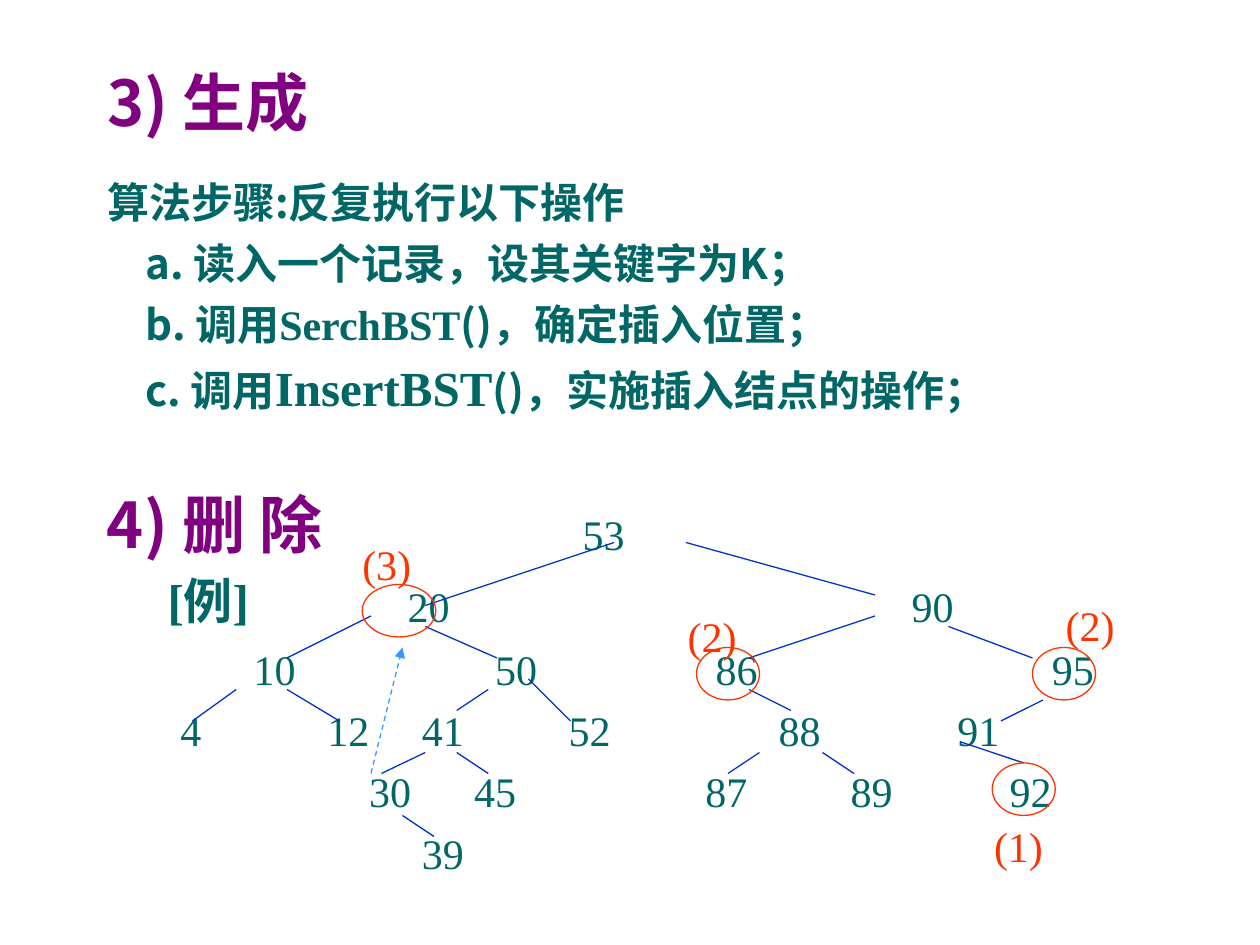
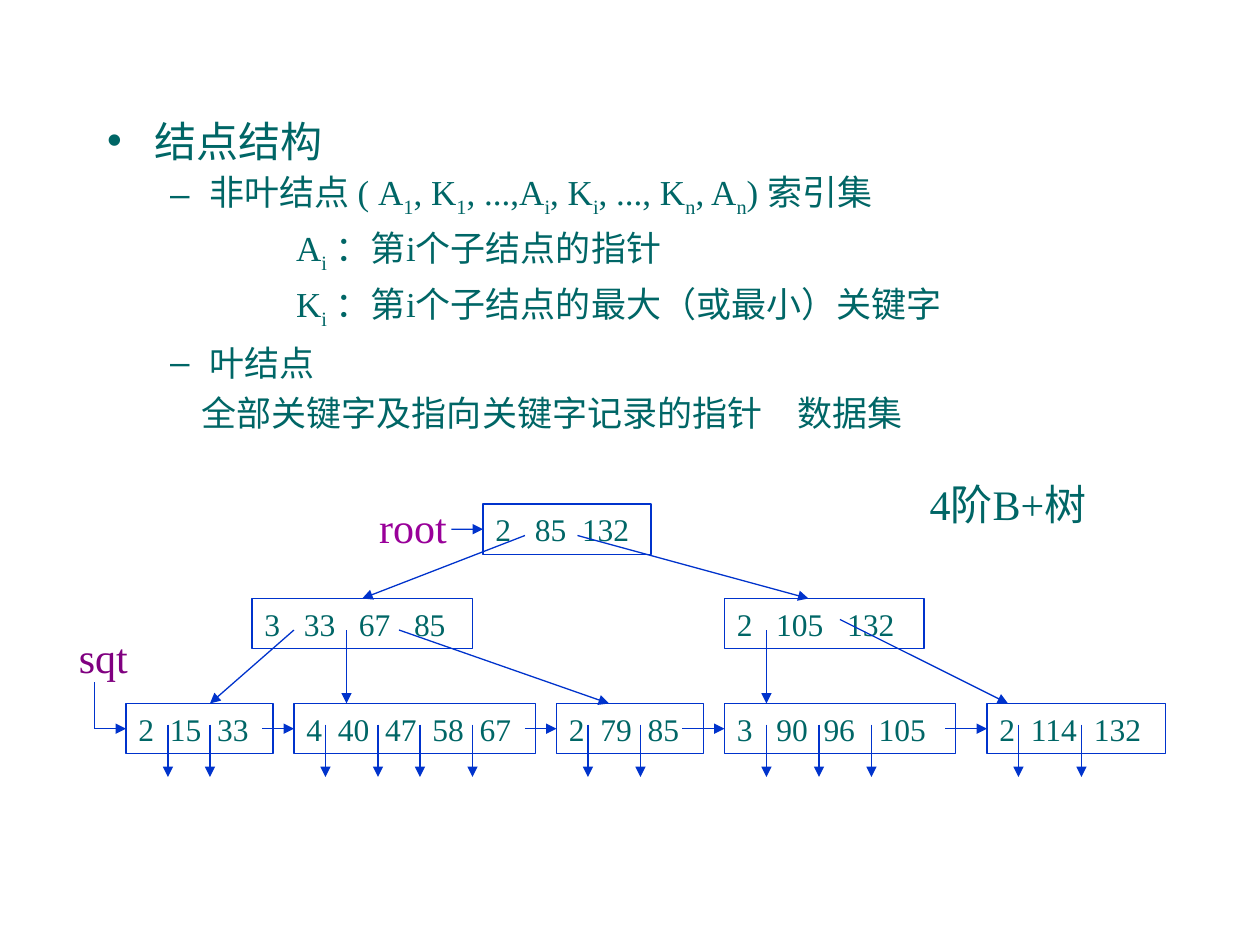
from lxml import etree
from pptx import Presentation
from pptx.dml.color import RGBColor
from pptx.enum.dml import MSO_LINE
from pptx.enum.shapes import MSO_CONNECTOR, MSO_SHAPE
from pptx.enum.text import MSO_ANCHOR, MSO_AUTO_SIZE, PP_ALIGN
from pptx.oxml.ns import qn
from pptx.util import Pt

STRAIGHT = MSO_CONNECTOR.STRAIGHT
OVAL, RECTANGLE = MSO_SHAPE.OVAL, MSO_SHAPE.RECTANGLE
MIDDLE, TOP = MSO_ANCHOR.MIDDLE, MSO_ANCHOR.TOP
LEFT, CENTER = PP_ALIGN.LEFT, PP_ALIGN.CENTER
NO_AUTOFIT = MSO_AUTO_SIZE.NONE
DASH = MSO_LINE.DASH
TOP_SIDE, LEFT_SIDE = 0, 1

SANS, SERIF = "Noto Sans CJK JP", "Times New Roman"
TEAL, PURPLE, MAGENTA = "006666", "800080", "990099"
BLUE, LIGHT_BLUE, RED = "0033CC", "3399FF", "FF3300"


def colour(hex_string):
    return RGBColor.from_string(hex_string)


def add_xml(parent, tag, **attributes):
    return etree.SubElement(parent, qn(tag), attributes)


def format_span(span, size, hex_string, face=SERIF, bold=False):
    span.font.name = face
    span.font.size = Pt(size)
    span.font.bold = bold
    span.font.color.rgb = colour(hex_string)
    add_xml(span.font._element, "a:ea", typeface=SANS)


def place(shape, left, top, width, height):
    shape.left, shape.top = Pt(left), Pt(top)
    shape.width, shape.height = Pt(width), Pt(height)


def set_heading(shape, text, top):
    place(shape, 54, top, 612, 72)
    frame = shape.text_frame
    frame.text = text
    frame.word_wrap = True
    frame.auto_size = NO_AUTOFIT
    frame.vertical_anchor = MIDDLE
    para = frame.paragraphs[0]
    para.alignment = LEFT
    format_span(para.runs[0], 36, PURPLE, SANS, True)


def start_body(shape, top, height):
    place(shape, 54, top, 612, height)
    frame = shape.text_frame
    frame.auto_size = NO_AUTOFIT
    frame.vertical_anchor = TOP
    return frame


def add_item(frame, index, text, line_height, left=0, hanging=0, bullet=None):
    """Add a list item; bars in the text part its runs, which are returned."""
    para = frame.paragraphs[0] if index == 0 else frame.add_paragraph()
    para.alignment = LEFT
    para.space_before = Pt(0)
    para.line_spacing = Pt(line_height)
    props = para._p.get_or_add_pPr()
    props.set("marL", str(Pt(left)))
    props.set("indent", str(Pt(-hanging)))
    if bullet:
        add_xml(add_xml(props, "a:buClr"), "a:srgbClr", val=TEAL)
        add_xml(props, "a:buChar", char=bullet)
    else:
        add_xml(props, "a:buNone")
    for part in text.split("|"):
        para.add_run().text = part
    return para.runs


def add_label(page, origin, x, y, text, hex_string=TEAL, size=24, bold=False):
    """Centre a one-line label on a point relative to the origin."""
    width, height = 120, 36
    box = page.shapes.add_textbox(Pt(origin[0] + x - width / 2),
                                  Pt(origin[1] + y - height / 2),
                                  Pt(width), Pt(height))
    frame = box.text_frame
    frame.text = text
    frame.word_wrap = True
    frame.vertical_anchor = MIDDLE
    para = frame.paragraphs[0]
    para.alignment = CENTER
    format_span(para.runs[0], size, hex_string, bold=bold)


def add_line(page, origin, start, end, hex_string=BLUE, arrow=False, dash=None):
    left, top = origin
    line = page.shapes.add_connector(
        STRAIGHT, Pt(left + start[0]), Pt(top + start[1]),
        Pt(left + end[0]), Pt(top + end[1]))
    line.line.color.rgb = colour(hex_string)
    line.line.width = Pt(0.75)
    if dash:
        line.line.dash_style = dash
    if arrow:
        add_xml(line.line._get_or_add_ln(), "a:tailEnd", type="triangle")
    add_xml(line._element.spPr, "a:effectLst")
    return line


def add_outline(page, origin, kind, x, y, width, height, hex_string):
    shape = page.shapes.add_shape(kind, Pt(origin[0] + x), Pt(origin[1] + y),
                                  Pt(width), Pt(height))
    shape.shadow.inherit = False
    shape.fill.background()
    shape.line.color.rgb = colour(hex_string)
    shape.line.width = Pt(0.75)
    return shape


def add_steps(shape):
    frame = start_body(shape, 91, 170)
    steps = (
        ("算法步骤:反复执行以下操作", 0, 35, 24),
        ("a. 读入一个记录，设其关键字为K；", 22, 35, 24),
        ("b. 调用|SerchBST|()，确定插入位置；", 22, 35, 24),
        ("c. 调用|InsertBST|()，实施插入结点的操作；", 22, 38.5, 28),
    )
    for index, (text, left, line_height, call_size) in enumerate(steps):
        for number, span in enumerate(add_item(frame, index, text, line_height, left)):
            is_call = number % 2
            format_span(span, call_size if is_call else 24, TEAL,
                        SERIF if is_call else SANS, True)


def add_search_tree(page, origin):
    key_rows = {
        5: {53: 245},
        46: {20: 145, 90: 433},
        82: {10: 57, 50: 195, 86: 321, 95: 513},
        117: {4: 9, 12: 99, 41: 153, 52: 237, 88: 357, 91: 459},
        152: {30: 123, 45: 183, 87: 315, 89: 398, 92: 489},
        187: {39: 153},
    }
    branches = (
        (251, 10, 143, 46), (292, 10, 400, 40), (112, 52, 64, 76),
        (143, 58, 184, 76), (400, 52, 328, 76), (442, 58, 490, 76),
        (35, 94, 10, 112), (64, 94, 94, 112), (179, 94, 161, 106),
        (202, 88, 226, 112), (328, 94, 352, 106), (496, 100, 472, 112),
        (143, 130, 118, 142), (161, 130, 179, 142), (334, 130, 316, 142),
        (370, 130, 388, 142), (449, 124, 485, 136), (130, 166, 148, 178),
    )
    rings = ((490, 70, 36), (298, 70, 36), (107, 34, 42), (467, 136, 36))
    cases = (("(1)", 482, 183), ("(2)", 307, 63), ("(2)", 523, 57), ("(3)", 121, 22))

    for y, keys in key_rows.items():
        for key, x in keys.items():
            add_label(page, origin, x, y, str(key))
    for x1, y1, x2, y2 in branches:
        add_line(page, origin, (x1, y1), (x2, y2))
    for x, y, width in rings:
        add_outline(page, origin, OVAL, x, y, width, 30, RED)
    add_line(page, origin, (112, 142), (130, 70), LIGHT_BLUE, arrow=True, dash=DASH)
    for text, x, y in cases:
        add_label(page, origin, x, y, text, RED)


def add_node_structure(shape):
    frame = start_body(shape, 56, 200)
    items = (
        ("结点结构", 35, 27, 27, "•"),
        ("非叶结点 ( A|1|, K|1|, ...,A|i|, K|i|, ..., K|n|, A|n|) 索引集",
         30, 58.5, 22.5, "–"),
        ("A|i| ：第i个子结点的指针", 32, 108, 0, None),
        ("K|i| ：第i个子结点的最大（或最小）关键字", 32, 108, 0, None),
        ("叶结点", 30.5, 58.5, 22.5, "–"),
        ("全部关键字及指向关键字记录的指针　数据集", 28.5, 54, 0, None),
    )
    for index, item in enumerate(items):
        for number, span in enumerate(add_item(frame, index, *item)):
            format_span(span, 20 if index else 24, TEAL)
            if number % 2:
                span.font._element.set("baseline", "-25000")


def add_node(page, origin, x, y, width, keys, gaps):
    """Draw a node whose keys stand at tab stops, the given gaps apart."""
    node = add_outline(page, origin, RECTANGLE, x, y, width, 28.8, BLUE)
    frame = node.text_frame
    frame.text = "\t".join(keys)
    frame.vertical_anchor = MIDDLE
    para = frame.paragraphs[0]
    para.alignment = LEFT
    stops = add_xml(para._p.get_or_add_pPr(), "a:tabLst")
    position = 0
    for key, gap in zip(keys, gaps):
        position += 9 * len(key) + gap
        add_xml(stops, "a:tab", pos=str(Pt(position)), algn="l")
    for span in para.runs:
        format_span(span, 18, TEAL)
    return node


def add_index_tree(page, origin):
    narrow, wide = 9, 13.5
    inner_y, leaf_y = 54, 114
    root_middle, leaf_middle = 14.4, leaf_y + 14.4
    leaf_specs = (
        (18, 84, "2 15 33", (narrow,) * 2),
        (114, 138, "4 40 47 58 67", (narrow,) * 4),
        (264, 84, "2 79 85", (narrow,) * 2),
        (360, 132, "3 90 96 105", (wide, narrow, wide)),
        (510, 102, "2 114 132", (narrow,) * 2),
    )
    leaves = [add_node(page, origin, x, leaf_y, width, keys.split(), gaps)
              for x, width, keys, gaps in leaf_specs]
    root = add_node(page, origin, 222, 0, 96, ("2", "85", "132"), (wide, narrow))
    left_inner = add_node(page, origin, 90, inner_y, 126,
                          ("3", "33", "67", "85"), (wide,) * 3)
    add_node(page, origin, 360, inner_y, 114, ("2", "105", "132"), (wide,) * 2)

    to_left = add_line(page, origin, (246, 18), (153, inner_y), arrow=True)
    to_left.end_connect(left_inner, TOP_SIDE)
    add_line(page, origin, (276, 18), (408, inner_y), arrow=True)
    for x1, y1, x2 in ((114, 72, 66), (144, 72, 144), (174, 72, 294),
                       (384, 72, 384), (426, 66, 522)):
        add_line(page, origin, (x1, y1), (x2, leaf_y), arrow=True)

    root_link = add_line(page, origin, (204, root_middle), (222, root_middle), arrow=True)
    root_link.end_connect(root, LEFT_SIDE)
    for start, leaf, spec in zip((0, 96, 246, 336, 486), leaves, leaf_specs):
        link = add_line(page, origin, (start, leaf_middle), (spec[0], leaf_middle),
                        arrow=True)
        link.end_connect(leaf, LEFT_SIDE)
    add_line(page, origin, (0, leaf_middle), (0, 102))

    for x in (42, 66, 132, 162, 186, 216, 282, 312, 384, 414, 444, 528, 564):
        add_line(page, origin, (x, 126), (x, 156), arrow=True)

    add_label(page, origin, 522, 0, "4阶B+树")
    add_label(page, origin, 182, 13, "root", MAGENTA)
    add_label(page, origin, 5, 87, "sqt", PURPLE)


def build_search_tree_page(page):
    title, body = page.placeholders
    set_heading(title, "3) 生成", 22)
    add_steps(body)
    set_heading(page.shapes.add_textbox(0, 0, 0, 0), "4) 删 除", 263)
    add_label(page, (0, 0), 119, 343, "[例]", size=28, bold=True)
    add_search_tree(page, (100, 300))


def build_index_tree_page(page):
    title, body = page.placeholders
    title._element.getparent().remove(title._element)
    add_node_structure(body)
    add_index_tree(page, (54, 288))


def main():
    deck = Presentation()
    deck.slide_width, deck.slide_height = Pt(720), Pt(540)
    for build_page in (build_search_tree_page, build_index_tree_page):
        build_page(deck.slides.add_slide(deck.slide_layouts[1]))
    deck.save("out.pptx")


if __name__ == "__main__":
    main()
